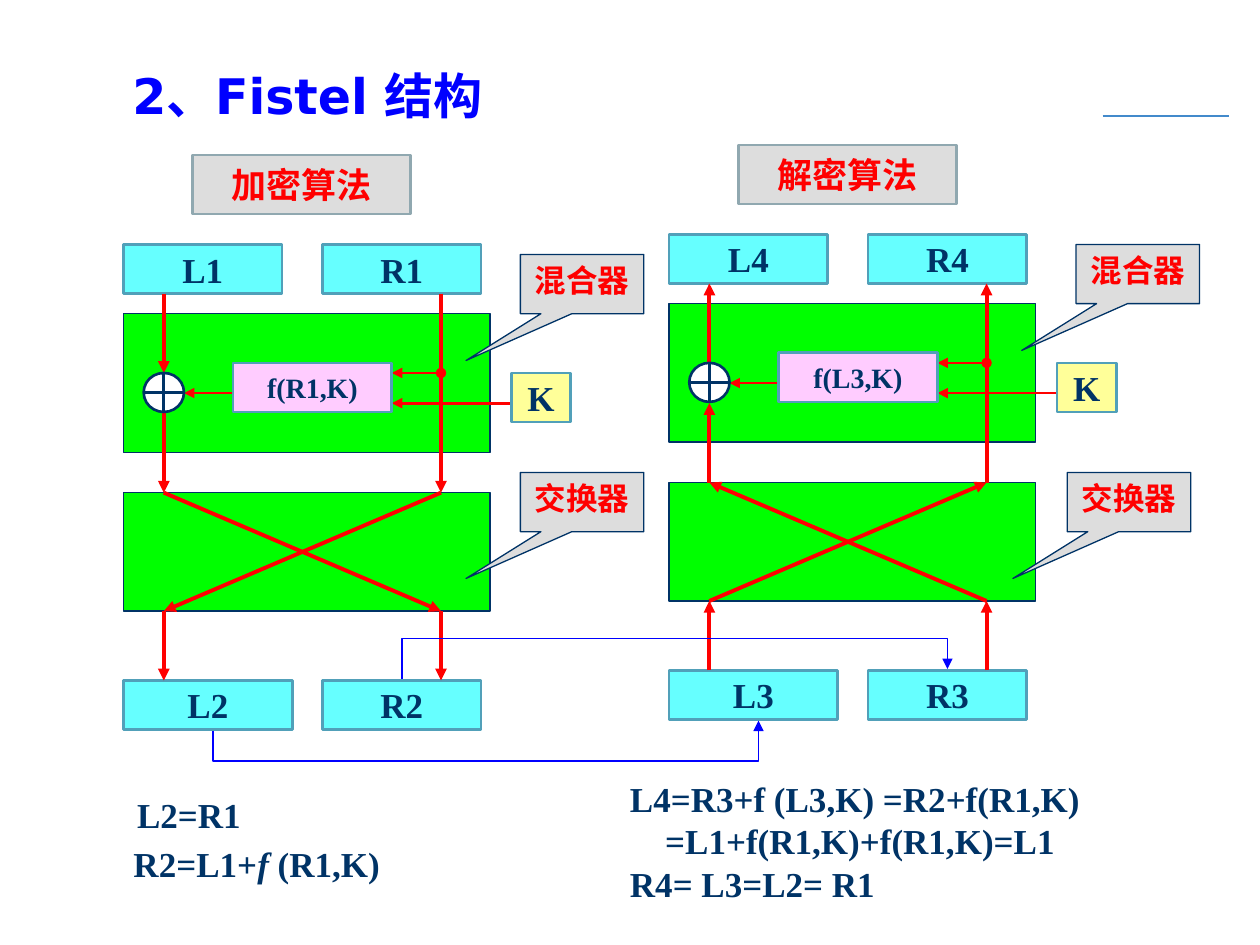
from lxml import etree
from pptx import Presentation
from pptx.dml.color import RGBColor
from pptx.enum.shapes import MSO_CONNECTOR, MSO_SHAPE
from pptx.enum.text import MSO_ANCHOR, PP_ALIGN
from pptx.oxml.ns import qn
from pptx.util import Inches, Pt

STRAIGHT, ELBOW = MSO_CONNECTOR.STRAIGHT, MSO_CONNECTOR.ELBOW
RECTANGLE, XOR = MSO_SHAPE.RECTANGLE, MSO_SHAPE.FLOWCHART_OR
CALLOUT = MSO_SHAPE.RECTANGULAR_CALLOUT
TOP, MIDDLE = MSO_ANCHOR.TOP, MSO_ANCHOR.MIDDLE
LEFT, CENTER = PP_ALIGN.LEFT, PP_ALIGN.CENTER

COLORS = {
    "navy": "003366", "green": "00FF00", "cyan": "66FFFF", "pink": "FFCCFF",
    "yellow": "FFFF99", "grey": "DDDDDD", "white": "FFFFFF", "red": "FF0000",
    "blue": "0000FF", "teal": "51A0B9", "slate": "90A8B0", "rule": "438ACB",
}
SERIF = "Times New Roman"


def color(name):
    return RGBColor.from_string(COLORS[name])


class FeistelSlide:
    """Draws styled elements on one slide."""

    def __init__(self, page):
        self.page = page

    def fill_text(self, shape, lines, size=20, ink="navy", font=SERIF, align=CENTER,
                  anchor=MIDDLE, insets=(0.08, 0.04), indents=()):
        frame = shape.text_frame
        frame.word_wrap = True
        frame.vertical_anchor = anchor
        frame.margin_left = frame.margin_right = Inches(insets[0])
        frame.margin_top = frame.margin_bottom = Inches(insets[1])
        for index, runs in enumerate(lines):
            para = frame.paragraphs[0] if index == 0 else frame.add_paragraph()
            para.alignment = align
            if index < len(indents):
                properties = para._p.get_or_add_pPr()
                properties.set("marL", str(Inches(indents[index])))
                properties.set("indent", "0")
            for text, italic in runs:
                span = para.add_run()
                span.text = text
                span.font.name = font
                span.font.size = Pt(size)
                span.font.bold = True
                span.font.italic = italic
                span.font.color.rgb = color(ink)

    def text(self, place, lines, **style):
        box = self.page.shapes.add_textbox(*map(Inches, place))
        self.fill_text(box, lines, **{"align": LEFT, **style})

    def shape(self, place, fill, edge="teal", weight=1.5, kind=RECTANGLE, label=None, **style):
        shape = self.page.shapes.add_shape(kind, *map(Inches, place))
        shape.shadow.inherit = False
        shape.fill.solid()
        shape.fill.fore_color.rgb = color(fill)
        shape.line.color.rgb = color(edge)
        shape.line.width = Pt(weight)
        if label:
            self.fill_text(shape, [[(label, False)]], **style)
        return shape

    def callout(self, left, top, label):
        shape = self.shape((left, top, 0.98, 0.47), "grey", "navy", 0.75, CALLOUT, label,
                           size=18, ink="red", font="Arial", anchor=TOP, insets=(0.1, 0.05))
        shape.adjustments[0] = -0.94
        shape.adjustments[1] = 1.29

    def line(self, start, end, ink="red", weight=2.25, head=None, tail="triangle", kind=STRAIGHT):
        line = self.page.shapes.add_connector(kind, *map(Inches, start + end))
        line.line.color.rgb = color(ink)
        line.line.width = Pt(weight)
        outline = line.line._get_or_add_ln()
        for tag, ending in (("a:headEnd", head), ("a:tailEnd", tail)):
            if ending:
                etree.SubElement(outline, qn(tag), type=ending)
        etree.SubElement(line._element.spPr, qn("a:effectLst"))
        return line

    def detour(self, start, end, level):
        """Draws an elbow that leaves and arrives vertically through a level."""
        middle_x, middle_y = (start[0] + end[0]) / 2, (start[1] + end[1]) / 2
        half_run, half_rise = (end[0] - start[0]) / 2, (start[1] - end[1]) / 2
        line = self.line((middle_x + half_rise, middle_y + half_run),
                         (middle_x - half_rise, middle_y - half_run),
                         "blue", 0.75, kind=ELBOW)
        properties = line._element.spPr
        properties.find(qn("a:xfrm")).set("rot", "5400000")
        share = round((start[1] - level) / (start[1] - end[1]) * 100000)
        guides = properties.find(qn("a:prstGeom")).find(qn("a:avLst"))
        etree.SubElement(guides, qn("a:gd"), name="adj1", fmla=f"val {share}")

    def cipher(self, shift_x, shift_y, title, top_labels, function, bottom_labels, upward):
        def place(left, top, *size):
            return (left + shift_x, top + shift_y, *size)

        self.shape(place(1.53, 1.23, 1.73, 0.47), "grey", "slate", label=title, ink="red")
        for top, height in ((2.49, 1.1), (3.91, 0.94)):
            self.shape(place(0.98, top, 2.91, height), "green", "navy", 0.75)
        for top, labels, first_width in ((1.94, top_labels, 1.26), (5.4, bottom_labels, 1.34)):
            for left, width, label in zip((0.98, 2.56), (first_width, 1.26), labels):
                self.shape(place(left, top, width, 0.39), "cyan", label=label)

        left, right = 1.3, 3.5
        flows = (
            ((left, 2.33), (left, 2.96)), ((left, 3.28), (left, 3.91)),
            ((right, 2.33), (right, 3.91)),
            ((left, 3.91), (right, 4.85)), ((right, 3.91), (left, 4.85)),
            ((left, 4.85), (left, 5.4)), ((right, 4.85), (right, 5.4)),
        )
        for start, end in flows:
            if upward:
                start, end = end, start
            self.line(place(*start), place(*end))
        for start, end, y, head in ((right, 3.11, 2.96, "oval"), (4.13, 3.11, 3.2, "oval"),
                                    (1.85, 1.46, 3.12, None)):
            self.line(place(start, y), place(end, y), weight=1.5, head=head)
        self.shape(place(1.14, 2.96, 0.32, 0.31), "white", "navy", kind=XOR)
        self.shape(place(1.85, 2.88, 1.26, 0.39), "pink", label=function, size=16)
        self.shape(place(4.06, 2.96, 0.47, 0.39), "yellow", label="K")


def main():
    deck = Presentation()
    deck.slide_width, deck.slide_height = Inches(10), Inches(7.5)
    slide = FeistelSlide(deck.slides.add_slide(deck.slide_layouts[6]))

    slide.line((8.75, 0.92), (9.75, 0.92), "rule", 0.75, tail=None)
    slide.text((0.83, 0.44, 7.48, 0.62), [[("2、Fistel 结构", False)]], size=28,
               ink="blue", font="DejaVu Sans", insets=(0.22, 0.05))
    slide.cipher(0, 0, "加密算法", ("L1", "R1"), "f(R1,K)", ("L2", "R2"), False)
    slide.cipher(4.33, -0.08, "解密算法", ("L4", "R4"), "f(L3,K)", ("L3", "R3"), True)
    slide.detour((1.69, 5.8), (6.02, 5.72), 6.04)
    slide.detour((3.19, 5.39), (7.52, 5.31), 5.07)

    slide.text((0.83, 6.27, 1.34, 0.39), [[("L2=R1", False)]], align=CENTER)
    slide.text((0.98, 6.66, 2.76, 0.39),
               [[("R2=L1+", False), ("f ", True), ("(R1,K)", False)]])
    slide.text((4.92, 6.19, 4.33, 0.63),
               [[("L4=R3+f (L3,K) =R2+f(R1,K)", False)],
                [("=L1+f(R1,K)+f(R1,K)=L1", False)]], indents=(0, 0.28))
    slide.text((4.92, 6.82, 3.94, 0.39), [[("R4= L3=L2= R1", False)]])

    for left, top, label in ((4.13, 2.02, "混合器"), (4.13, 3.75, "交换器"),
                             (8.47, 3.75, "交换器"), (8.54, 1.94, "混合器")):
        slide.callout(left, top, label)
    deck.save("out.pptx")


if __name__ == "__main__":
    main()
